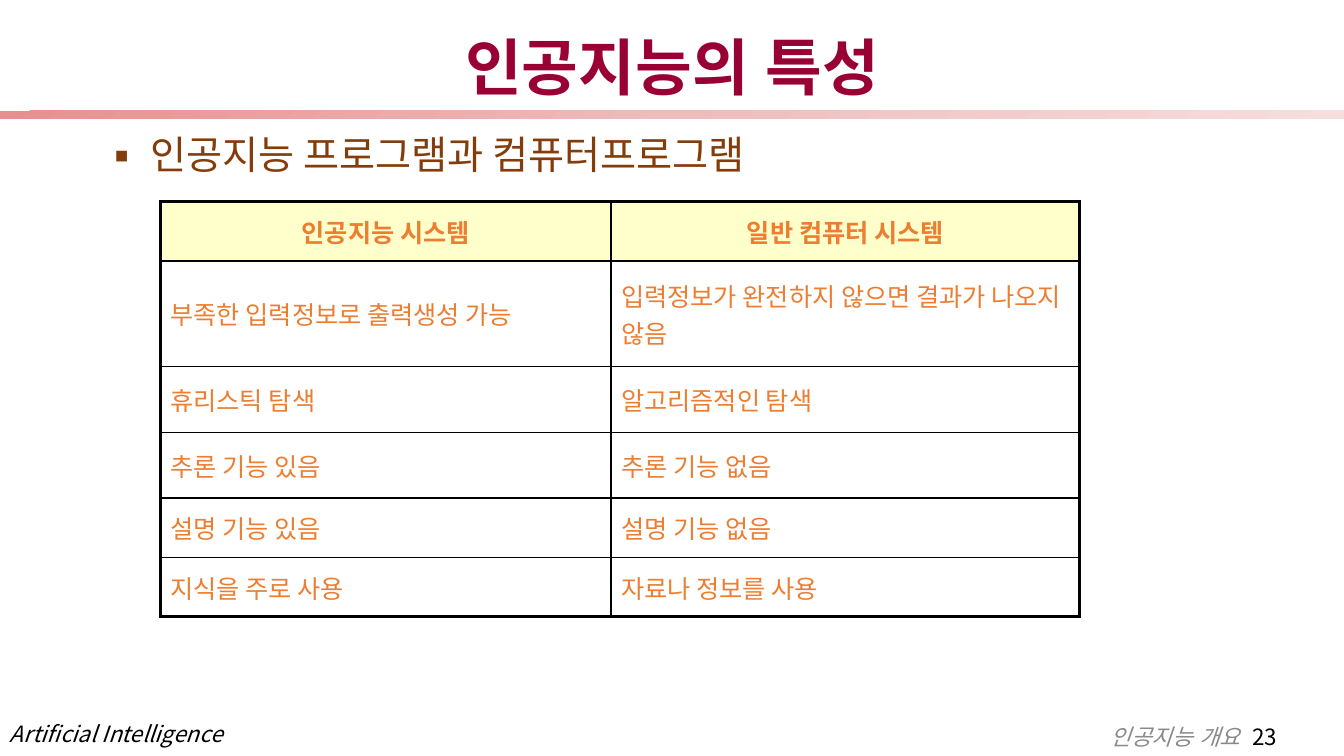
from copy import deepcopy

from lxml import etree
from pptx import Presentation
from pptx.dml.color import RGBColor
from pptx.enum import shapes, text
from pptx.oxml import ns
from pptx.util import Inches, Pt

# Content
TITLE = "인공지능의 특성"
TOPIC = " 인공지능 프로그램과 컴퓨터프로그램"
COURSE = "Artificial Intelligence"
CHAPTER, PAGE = "인공지능 개요  ", "23"
COMPARISON = [
    ("인공지능 시스템", "일반 컴퓨터 시스템"),
    ("부족한 입력정보로 출력생성 가능", "입력정보가 완전하지 않으면 결과가 나오지 않음"),
    ("휴리스틱 탐색", "알고리즘적인 탐색"),
    ("추론 기능 있음", "추론 기능 없음"),
    ("설명 기능 있음", "설명 기능 없음"),
    ("지식을 주로 사용", "자료나 정보를 사용"),
]
COLUMN_WIDTHS = (4.47, 4.65)
ROW_HEIGHTS = (0.59, 1.05, 0.65, 0.65, 0.59, 0.59)


class Theme:
    latin, korean = "Arial", "Noto Sans CJK KR"
    title, topic, cell, footer = 44, 28, 18, 16
    crimson, brown, orange = "990033", "843C0B", "ED7D31"
    black, grey, header = "000000", "898989", "FFFFCC"
    band = ((0, "E98F8F"), (0.5, "EFBCBC"), (1, "F7DEDE"))
    outer, inner = 2.25, 1


def write(paragraph, words, size, color, font=Theme.korean, bold=False,
          italic=False, align=text.PP_ALIGN.LEFT, spacing=0.9, before=0):
    """Add one formatted run to a paragraph."""
    paragraph.alignment = align
    paragraph.line_spacing = spacing
    paragraph.space_before = Pt(before)
    run = paragraph.add_run()
    run.text = words
    run.font.size, run.font.name = Pt(size), font
    run.font.bold, run.font.italic = bold, italic
    run.font.color.rgb = RGBColor.from_string(color)
    etree.SubElement(run._r.get_or_add_rPr(), ns.qn("a:ea"), typeface=font)


def add_box(slide, left, top, width, height, anchor=text.MSO_ANCHOR.TOP):
    """Add a text box and return its first paragraph."""
    frame = slide.shapes.add_textbox(
        Inches(left), Inches(top), Inches(width), Inches(height)).text_frame
    frame.word_wrap = True
    frame.vertical_anchor = anchor
    return frame.paragraphs[0]


def add_bullet(paragraph, mark, indent):
    props = paragraph._p.get_or_add_pPr()
    props.set("marL", str(Inches(indent)))
    props.set("indent", str(-Inches(indent)))
    etree.SubElement(props, ns.qn("a:buFont"), typeface=Theme.korean)
    etree.SubElement(props, ns.qn("a:buChar"), char=mark)


def set_borders(cell, widths):
    """Draw the cell's edges; widths maps L, R, T, B to points."""
    props = cell._tc.get_or_add_tcPr()
    for position, (side, width) in enumerate(widths.items()):
        line = etree.Element(ns.qn(f"a:ln{side}"), w=str(Pt(width)))
        fill = etree.SubElement(line, ns.qn("a:solidFill"))
        etree.SubElement(fill, ns.qn("a:srgbClr"), val=Theme.black)
        props.insert(position, line)


def add_band(slide, width):
    band = slide.shapes.add_shape(
        shapes.MSO_SHAPE.RECTANGLE, 0, Inches(1.1), width, Inches(0.08))
    band.shadow.inherit = False
    band.line.fill.background()
    band.fill.gradient()
    band.fill.gradient_angle = 315
    stops = band._element.spPr.find(".//" + ns.qn("a:gsLst"))
    stops.append(deepcopy(stops[-1]))
    for stop, (position, color) in zip(band.fill.gradient_stops, Theme.band):
        stop.position = position
        stop.color.rgb = RGBColor.from_string(color)


def add_comparison(slide):
    last_row, last_column = len(COMPARISON) - 1, len(COLUMN_WIDTHS) - 1
    table = slide.shapes.add_table(
        last_row + 1, last_column + 1, Inches(1.59), Inches(2),
        Inches(sum(COLUMN_WIDTHS)), Inches(sum(ROW_HEIGHTS))).table
    for column, width in zip(table.columns, COLUMN_WIDTHS):
        column.width = Inches(width)
    for row, height in zip(table.rows, ROW_HEIGHTS):
        row.height = Inches(height)

    for r, entries in enumerate(COMPARISON):
        heading = r == 0
        for c, entry in enumerate(entries):
            cell = table.cell(r, c)
            cell.vertical_anchor = text.MSO_ANCHOR.MIDDLE
            if heading:
                cell.fill.solid()
                cell.fill.fore_color.rgb = RGBColor.from_string(Theme.header)
            else:
                cell.fill.background()
            write(cell.text_frame.paragraphs[0], entry, Theme.cell, Theme.orange,
                  bold=heading, spacing=1, before=3.6,
                  align=text.PP_ALIGN.CENTER if heading else text.PP_ALIGN.LEFT)
            at_edge = {"L": c == 0, "R": c == last_column,
                       "T": heading, "B": r == last_row}
            set_borders(cell, {side: Theme.outer if edge else Theme.inner
                               for side, edge in at_edge.items()})


def main():
    deck = Presentation()
    deck.slide_width, deck.slide_height = Inches(13.33), Inches(7.5)
    slide = deck.slides.add_slide(deck.slide_layouts[6])

    # Heading
    add_band(slide, deck.slide_width)
    title = add_box(slide, 0.92, 0.4, 11.5, 0.6, anchor=text.MSO_ANCHOR.MIDDLE)
    write(title, TITLE, Theme.title, Theme.crimson, font=Theme.latin,
          bold=True, align=text.PP_ALIGN.CENTER)

    # Body
    topic = add_box(slide, 0.92, 1.3, 11.5, 0.6)
    write(topic, TOPIC, Theme.topic, Theme.brown)
    add_bullet(topic, "▪", 0.38)
    add_comparison(slide)

    # Footer
    course = add_box(slide, 0, 7.13, 2.5, 0.34)
    write(course, COURSE, Theme.footer, Theme.black, italic=True, before=5)
    chapter = add_box(slide, 10.92, 7.16, 2.12, 0.34)
    write(chapter, CHAPTER, Theme.footer, Theme.grey, font=Theme.latin,
          italic=True, before=5)
    write(chapter, PAGE, Theme.footer, Theme.black, before=5)

    deck.save("out.pptx")


if __name__ == "__main__":
    main()
